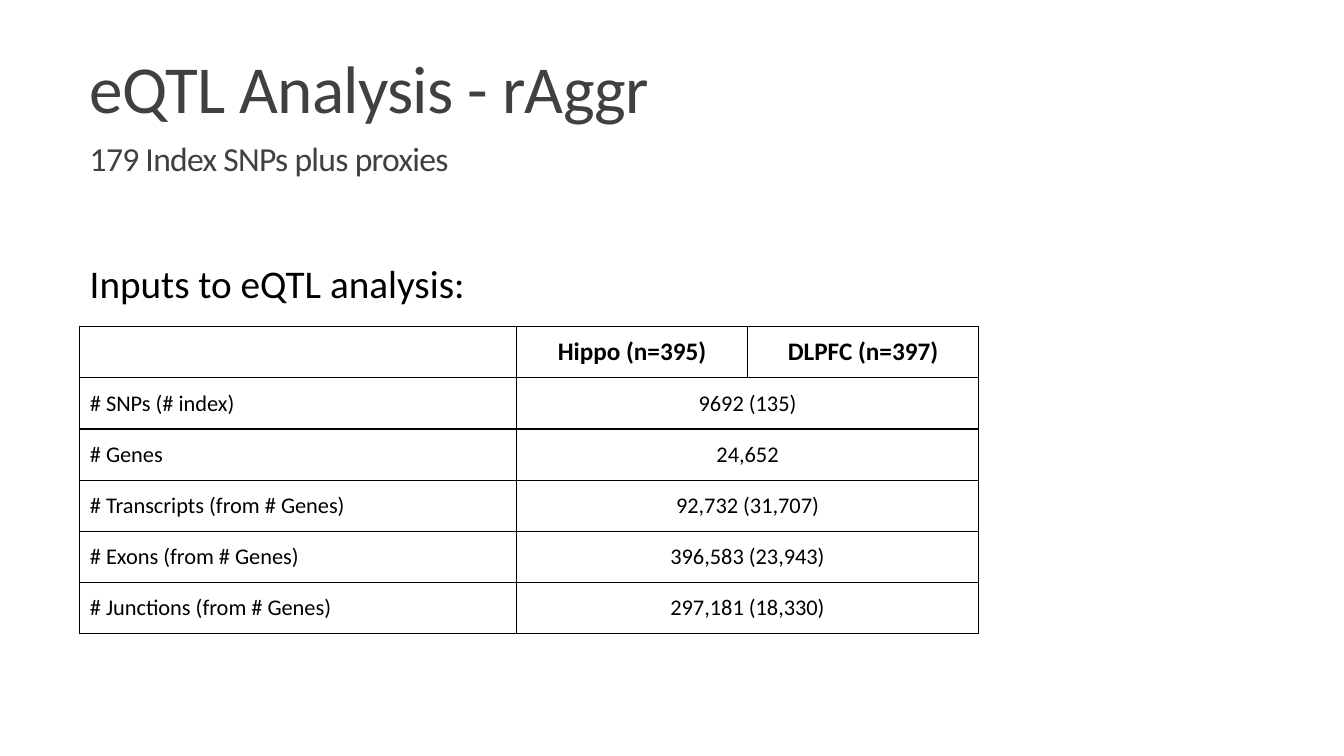
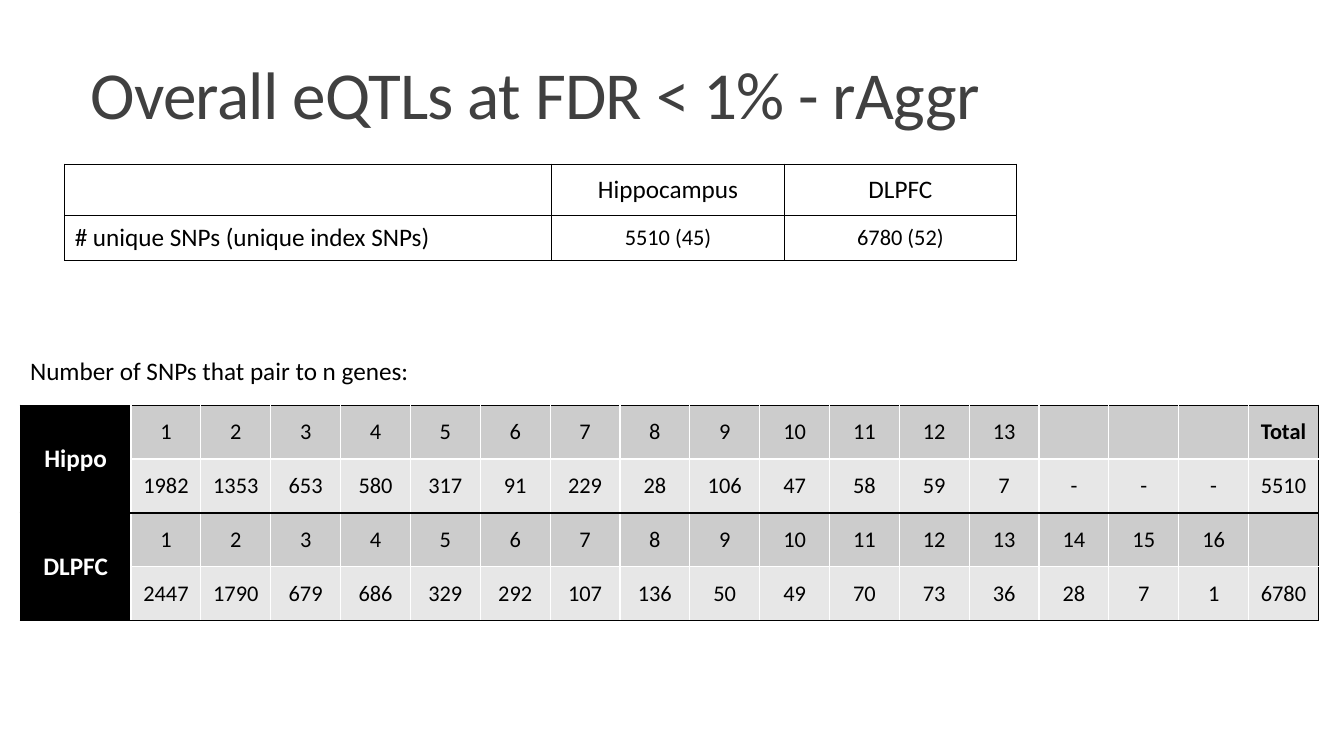
from lxml import etree
from pptx import Presentation
from pptx.dml.color import RGBColor
from pptx.enum.text import MSO_ANCHOR, PP_ALIGN
from pptx.oxml.ns import qn
from pptx.util import Pt

LEFT, CENTER = PP_ALIGN.LEFT, PP_ALIGN.CENTER
TOP, MIDDLE, BOTTOM = MSO_ANCHOR.TOP, MSO_ANCHOR.MIDDLE, MSO_ANCHOR.BOTTOM

BLACK, WHITE, HEADING = "000000", "FFFFFF", "404040"
COUNT_GRAY, VALUE_GRAY = "CCCCCC", "E7E7E7"
FONT = "Calibri"
EDGES = ("L", "R", "T", "B")
GRID = dict.fromkeys(EDGES, BLACK)


def color(hex_string):
    return RGBColor.from_string(hex_string)


class Deck:
    def __init__(self):
        self.presentation = Presentation()
        self.presentation.slide_width = Pt(960)
        self.presentation.slide_height = Pt(540)
        self.slide = None

    def new_slide(self):
        blank = self.presentation.slide_layouts[6]
        self.slide = self.presentation.slides.add_slide(blank)

    def add_text_run(self, paragraph, text, size, ink=BLACK, bold=False, spacing=None):
        run = paragraph.add_run()
        run.text = text
        run.font.name = FONT
        run.font.size = Pt(size)
        run.font.bold = bold
        run.font.color.rgb = color(ink)
        if spacing is not None:
            run.font._element.set("spc", str(round(spacing * 100)))

    def text(self, box, text, size, wrap=False, anchor=TOP, line_spacing=None, **style):
        frame = self.slide.shapes.add_textbox(*map(Pt, box)).text_frame
        frame.word_wrap = wrap
        frame.vertical_anchor = anchor
        paragraph = frame.paragraphs[0]
        if line_spacing:
            paragraph.line_spacing = line_spacing
        self.add_text_run(paragraph, text, size, **style)

    def title(self, left, top, height, text):
        self.text((left, top, 792, height), text, 48, wrap=True, anchor=BOTTOM,
                  line_spacing=0.85, ink=HEADING, spacing=-0.5)

    def borders(self, cell, edges):
        properties = cell._tc.get_or_add_tcPr()
        for edge in EDGES:
            line = etree.SubElement(properties, qn(f"a:ln{edge}"), w=str(Pt(1)))
            fill = etree.SubElement(line, qn("a:solidFill"))
            etree.SubElement(fill, qn("a:srgbClr"), val=edges[edge])

    def cell(self, cell, text, size=16, align=CENTER, fill=None, edges=GRID, **style):
        self.borders(cell, edges)
        if fill:
            cell.fill.solid()
            cell.fill.fore_color.rgb = color(fill)
        else:
            cell.fill.background()
        cell.vertical_anchor = MIDDLE
        if text:
            paragraph = cell.text_frame.paragraphs[0]
            paragraph.alignment = align
            self.add_text_run(paragraph, text, size, **style)

    def table(self, left, top, widths, heights, rows, style):
        box = map(Pt, (left, top, sum(widths), sum(heights)))
        table = self.slide.shapes.add_table(len(rows), len(widths), *box).table
        table.first_row = table.horz_banding = False
        for column, width in zip(table.columns, widths):
            column.width = Pt(width)
        for row, height in zip(table.rows, heights):
            row.height = Pt(height)
        for r, texts in enumerate(rows):
            for c, text in enumerate(texts):
                self.cell(table.cell(r, c), text, **style(r, c))
        return table


def input_style(row, column):
    if row == 0:
        return {"size": 18, "bold": True}
    return {"align": CENTER if column else LEFT}


def unique_style(row, column):
    return {"size": 16 if row and column else 18,
            "align": CENTER if column else LEFT}


def pairing_style(row, column):
    if column == 0:
        return {"size": 18, "bold": True, "ink": WHITE, "fill": BLACK,
                "edges": {**GRID, "R": WHITE}}
    is_count = row % 2 == 0
    return {
        "fill": COUNT_GRAY if is_count else VALUE_GRAY,
        "bold": (row, column) == (0, 17),
        "edges": {
            "L": WHITE,
            "R": BLACK if column == 17 else WHITE,
            "T": BLACK if is_count else WHITE,
            "B": WHITE if is_count else BLACK,
        },
    }


def inputs_slide(deck):
    deck.new_slide()
    deck.title(57, 26, 68.4, "eQTL Analysis - rAggr")
    inputs = [
        ("", "Hippo (n=395)", "DLPFC (n=397)"),
        ("# SNPs (# index)", "9692 (135)", ""),
        ("# Genes", "24,652", ""),
        ("# Transcripts (from # Genes)", "92,732 (31,707)", ""),
        ("# Exons (from # Genes)", "396,583 (23,943)", ""),
        ("# Junctions (from # Genes)", "297,181 (18,330)", ""),
    ]
    table = deck.table(57, 233.2, (312, 165, 165), [36.6] * len(inputs), inputs, input_style)
    for row in range(1, len(inputs)):
        table.cell(row, 1).merge(table.cell(row, 2))
    deck.text((57, 181.4, 285, 41), "Inputs to eQTL analysis:", 28)
    deck.text((57, 95, 273, 36), "179 Index SNPs plus proxies", 24,
              ink=HEADING, spacing=-0.5)


def results_slide(deck):
    deck.new_slide()
    deck.title(57.6, 32.4, 66.2, "Overall eQTLs at FDR < 1% - rAggr")
    hippo = "1982 1353 653 580 317 91 229 28 106 47 58 59 7 - - - 5510".split()
    dlpfc = "2447 1790 679 686 329 292 107 136 50 49 70 73 36 28 7 1 6780".split()
    genes = [str(n) for n in range(1, 17)]
    pairings = [
        ["Hippo", *genes[:13], "", "", "", "Total"],
        ["", *hippo],
        ["DLPFC", *genes, ""],
        ["", *dlpfc],
    ]
    table = deck.table(14.4, 289.4, [79.2] + [49.9] * 17, [38.5] * 4, pairings, pairing_style)
    for row in (0, 2):
        table.cell(row, 0).merge(table.cell(row + 1, 0))
    deck.text((14.4, 250, 288, 29), "Number of SNPs that pair to n genes:", 18)
    unique = [
        ("", "Hippocampus", "DLPFC"),
        ("# unique SNPs (unique index SNPs)", "5510 (45)", "6780 (52)"),
    ]
    deck.table(46.2, 117.2, (348, 166, 166), (36.8, 32.3), unique, unique_style)


def main():
    deck = Deck()
    inputs_slide(deck)
    results_slide(deck)
    deck.presentation.save("out.pptx")


if __name__ == "__main__":
    main()
